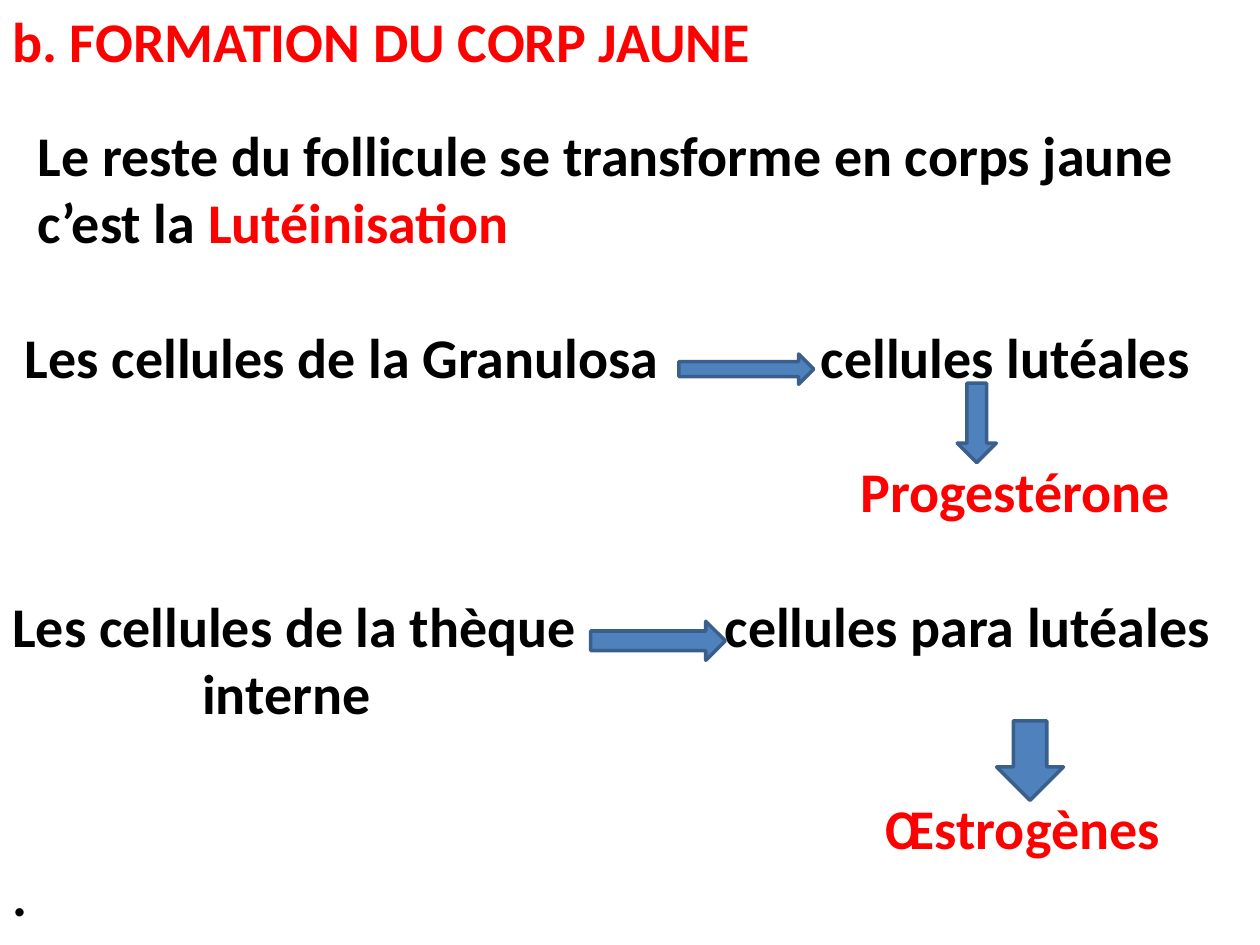
from lxml.etree import SubElement
from pptx import Presentation
from pptx.dml.color import RGBColor
from pptx.enum.shapes import MSO_SHAPE
from pptx.enum.text import MSO_ANCHOR
from pptx.oxml.ns import qn
from pptx.util import Pt

COLORS = {"red": "FF0000", "black": "000000", "blue": "4F81BD", "edge": "3A5F8C"}
GAP = 38.5

LINES = [
    ([("Le reste du follicule se transforme en corps jaune", "black")], 14.5, 0, []),
    ([("c’est la ", "black"), ("Lutéinisation", "red")], 14.5, 0, []),
    ([("\tLes cellules de la Granulosa\tcellules lutéales", "black")], 0, GAP, [7.2, 462]),
    ([("Progestérone", "red")], 484.5, GAP, []),
    ([("Les cellules de la thèque\tcellules para lutéales", "black")], 0, GAP, [407]),
    ([("interne", "black")], 108.5, 0, []),
    ([("Œstrogènes", "red")], 499, GAP, []),
    ([(".", "black")], 0, 0, []),
]

ARROWS = [
    (MSO_SHAPE.RIGHT_ARROW, 388, 202.3, 77, 17.3),
    (MSO_SHAPE.RIGHT_ARROW, 337.5, 355, 77, 22.3),
    (MSO_SHAPE.DOWN_ARROW, 547, 219, 22.3, 45.4),
    (MSO_SHAPE.DOWN_ARROW, 569.5, 412, 38.2, 45.4),
]


def color(name):
    return RGBColor.from_string(COLORS[name])


def add_box(slide, left, top, width, height, wrap=True):
    box = slide.shapes.add_textbox(Pt(left), Pt(top), Pt(width), Pt(height))
    frame = box.text_frame
    frame.word_wrap = wrap
    return frame


def fill_line(para, parts, indent=0, gap=0, tabs=()):
    props = para._p.get_or_add_pPr()
    if indent:
        props.set("marL", str(Pt(indent)))
        props.set("indent", "0")
    if gap:
        para.space_before = Pt(gap)
    if tabs:
        stops = SubElement(props, qn("a:tabLst"))
        for stop in tabs:
            SubElement(stops, qn("a:tab"), pos=str(Pt(stop)), algn="l")
    font = para.font
    font.name, font.size, font.bold = "Calibri", Pt(32), True
    font.color.rgb = color(parts[0][1])
    for text, tint in parts:
        run = para.add_run()
        run.text = text
        if tint != parts[0][1]:
            run.font.color.rgb = color(tint)


def add_body(slide):
    frame = add_box(slide, 0, 63.4, 720, 472.3)
    frame.vertical_anchor = MSO_ANCHOR.MIDDLE
    for index, line in enumerate(LINES):
        para = frame.add_paragraph() if index else frame.paragraphs[0]
        fill_line(para, *line)


def add_title(slide):
    frame = add_box(slide, 0, 0, 439.2, 46, wrap=False)
    fill_line(frame.paragraphs[0], [("b. FORMATION DU CORP JAUNE", "red")])


def add_arrow(slide, kind, left, top, width, height):
    arrow = slide.shapes.add_shape(kind, Pt(left), Pt(top), Pt(width), Pt(height))
    arrow.shadow.inherit = False
    arrow.fill.solid()
    arrow.fill.fore_color.rgb = color("blue")
    arrow.line.color.rgb = color("edge")
    arrow.line.width = Pt(2)


def main():
    deck = Presentation()
    deck.slide_width, deck.slide_height = Pt(720), Pt(540)
    slide = deck.slides.add_slide(deck.slide_layouts[6])
    add_body(slide)
    add_title(slide)
    for arrow in ARROWS:
        add_arrow(slide, *arrow)
    deck.save("out.pptx")


if __name__ == "__main__":
    main()
